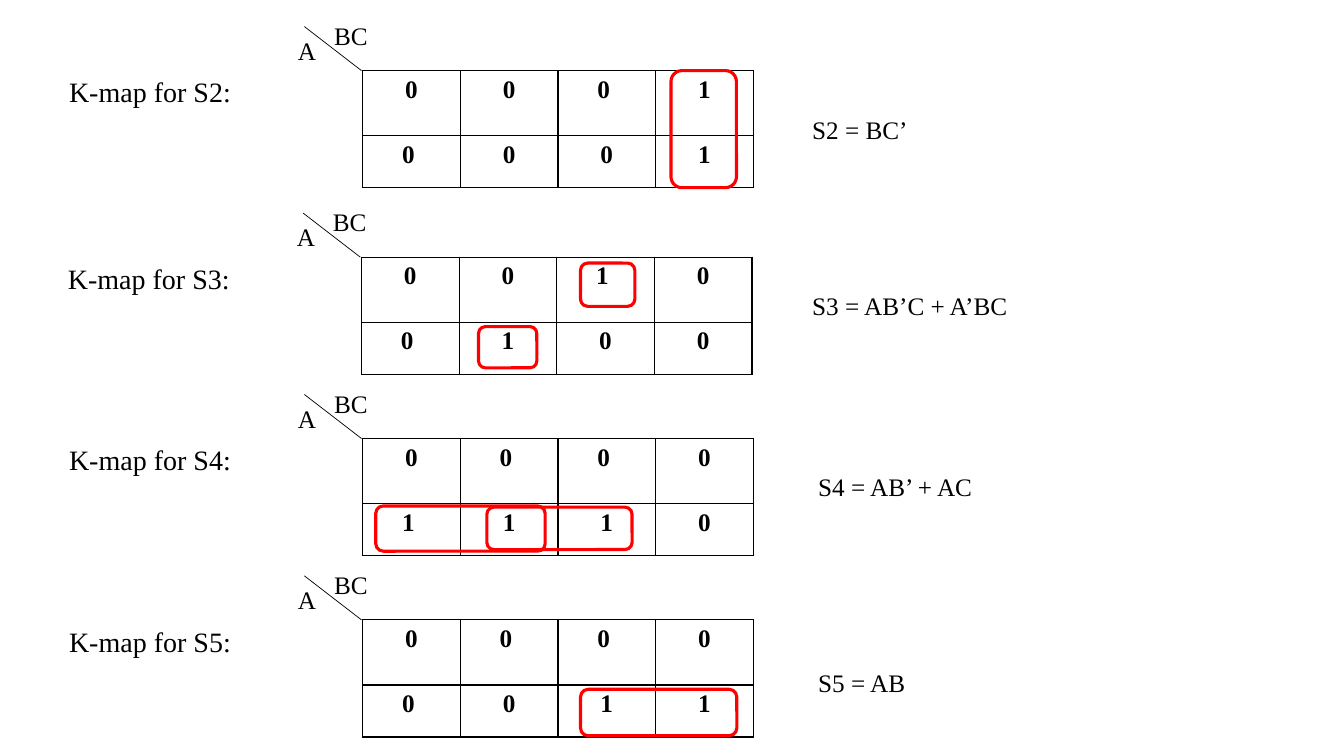
from pptx import Presentation
from pptx.dml.color import RGBColor
from pptx.enum.shapes import MSO_CONNECTOR, MSO_SHAPE
from pptx.enum.text import MSO_AUTO_SIZE, PP_ALIGN
from pptx.oxml import parse_xml
from pptx.oxml.ns import nsdecls
from pptx.util import Cm, Pt

STRAIGHT = MSO_CONNECTOR.STRAIGHT
ROUNDED = MSO_SHAPE.ROUNDED_RECTANGLE
CENTER = PP_ALIGN.CENTER
FIT_SHAPE = MSO_AUTO_SIZE.SHAPE_TO_FIT_TEXT

THEME = {
    "font": "Times New Roman",
    "ink": RGBColor(0, 0, 0),
    "paper": RGBColor(255, 255, 255),
    "loop": RGBColor(255, 0, 0),
    "label_size": Pt(20),
    "text_size": Pt(18),
    "loop_width": Pt(2.25),
    "grid_width": Pt(1),
    "diagonal_width": Pt(0.5),
}

KMAPS = [
    {"name": "S2", "origin": (9.14, 1.78),
     "rows": [["0", "0", "0 ", "1"], ["0 ", "0", "0", "1"]],
     "loops": [(7.77, 0, 1.65, 2.95)],
     "equation": "S2 = BC’", "equation_at": (11.08, 0.97, 2.95)},
    {"name": "S3", "origin": (9.11, 6.48),
     "rows": [["0", "0", "1 ", "0"], ["0 ", "1", "0", "0"]],
     "loops": [(5.52, 0.15, 1.37, 1.09), (2.95, 1.75, 1.47, 1.04)],
     "equation": "S3 = AB’C + A’BC", "equation_at": (11.11, 0.71, 5.69)},
    {"name": "S4", "origin": (9.14, 11.05),
     "rows": [["0", "0 ", "0 ", "0"], ["1 ", "1", "1", "0"]],
     "loops": [(0.33, 1.7, 4.27, 1.14), (3.13, 1.73, 3.66, 1.07)],
     "equation": "S4 = AB’ + AC", "equation_at": (11.23, 0.71, 4.42)},
    {"name": "S5", "origin": (9.14, 15.62),
     "rows": [["0", "0 ", "0 ", "0"], ["0 ", "0", "1", "1"]],
     "loops": [(5.49, 1.75, 3.94, 1.17)],
     "equation": "S5 = AB", "equation_at": (11.23, 1.07, 2.72)},
]
COLUMN_WIDTH = 2.46
ROW_HEIGHTS = [1.64, 1.31]


def style_text(frame, size, bold=False):
    for span in frame.paragraphs[0].runs:
        span.font.name = THEME["font"]
        span.font.size = size
        span.font.bold = bold
        span.font.color.rgb = THEME["ink"]


def add_text(page, text, left, top, width, height=1.02, size=THEME["text_size"], wrap=False):
    box = page.shapes.add_textbox(Cm(left), Cm(top), Cm(width), Cm(height))
    frame = box.text_frame
    frame.text = text
    frame.word_wrap = wrap
    frame.auto_size = FIT_SHAPE
    style_text(frame, size)


def add_borders(cell):
    properties = cell._tc.get_or_add_tcPr()
    for position, side in enumerate(("lnL", "lnR", "lnT", "lnB")):
        properties.insert(position, parse_xml(
            f'<a:{side} {nsdecls("a")} w="{THEME["grid_width"]}"><a:solidFill>'
            f'<a:srgbClr val="{THEME["ink"]}"/></a:solidFill></a:{side}>'))


def add_grid(page, rows, left, top):
    columns = len(rows[0])
    grid = page.shapes.add_table(
        len(rows), columns, Cm(left), Cm(top),
        Cm(COLUMN_WIDTH * columns), Cm(sum(ROW_HEIGHTS))).table
    grid.first_row = False
    grid.horz_banding = False
    for column in grid.columns:
        column.width = Cm(COLUMN_WIDTH)
    for row, height, values in zip(grid.rows, ROW_HEIGHTS, rows):
        row.height = Cm(height)
        for cell, value in zip(row.cells, values):
            cell.text_frame.text = value
            cell.text_frame.paragraphs[0].alignment = CENTER
            style_text(cell.text_frame, THEME["text_size"], bold=True)
            cell.fill.solid()
            cell.fill.fore_color.rgb = THEME["paper"]
            add_borders(cell)


def add_diagonal(page, left, top):
    diagonal = page.shapes.add_connector(
        STRAIGHT, Cm(left - 0.03), Cm(top), Cm(left - 1.47), Cm(top - 1.11))
    diagonal.line.color.rgb = THEME["ink"]
    diagonal.line.width = THEME["diagonal_width"]
    diagonal._element.spPr.append(parse_xml(f'<a:effectLst {nsdecls("a")}/>'))


def add_loop(page, left, top, width, height):
    loop = page.shapes.add_shape(ROUNDED, Cm(left), Cm(top), Cm(width), Cm(height))
    loop.shadow.inherit = False
    loop.fill.background()
    loop.line.color.rgb = THEME["loop"]
    loop.line.width = THEME["loop_width"]


def add_kmap(page, kmap):
    left, top = kmap["origin"]
    add_text(page, f"K-map for {kmap['name']}:", left - 7.65, top - 0.02, 4.62,
             height=1.12, size=THEME["label_size"])
    add_grid(page, kmap["rows"], left, top)
    add_diagonal(page, left, top)
    add_text(page, "A", left - 1.88, top - 1.02, 2.24, wrap=True)
    add_text(page, "BC", left - 0.97, top - 1.4, 1.37)
    for across, down, width, height in kmap["loops"]:
        add_loop(page, left + across, top + down, width, height)
    across, down, width = kmap["equation_at"]
    add_text(page, kmap["equation"], left + across, top + down, width)


def main():
    deck = Presentation()
    deck.slide_width = Cm(33.87)
    deck.slide_height = Cm(19.05)
    page = deck.slides.add_slide(deck.slide_layouts[6])
    for kmap in KMAPS:
        add_kmap(page, kmap)
    deck.save("out.pptx")


if __name__ == "__main__":
    main()
